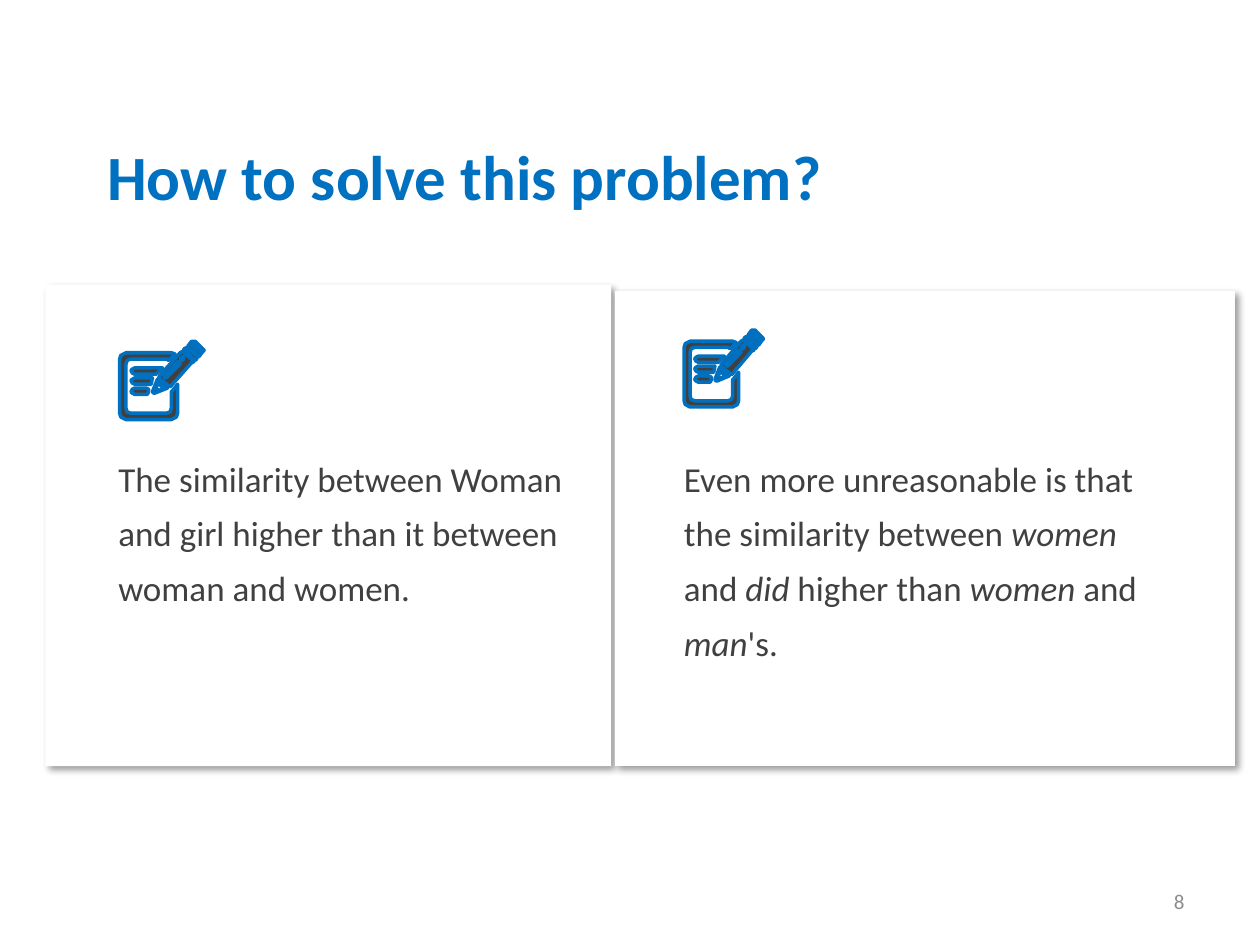
import lxml.etree
import pptx
import pptx.dml.color
import pptx.enum.shapes
import pptx.enum.text
import pptx.oxml.ns
import pptx.util

BLUE, INK, WHITE, GREY = "0070C0", "404040", "FFFFFF", "8C8C8C"
ALIGN = pptx.enum.text.PP_ALIGN
ANCHOR = pptx.enum.text.MSO_ANCHOR

NOTEPAD_SIZE = (67, 62)
NOTEPAD = [
    [(12, 37), (21, 37), (23, 38), (23, 40), (22, 42), (12, 42), (10, 41), (9, 40), (10, 38)],
    [(30, 33), (29, 37), (31, 39), (35, 37)],
    [(30, 30), (38, 37), (28, 41), (27, 41), (26, 40)],
    [(12, 29), (26, 29), (25, 34), (12, 34), (10, 33), (9, 31), (10, 30)],
    [(12, 21), (34, 21), (29, 26), (12, 26), (10, 25), (9, 23), (10, 22)],
    [(46, 16), (35, 28), (36, 29), (37, 29), (48, 18), (48, 17)],
    [(51, 12), (50, 12), (48, 14), (49, 15), (50, 15), (51, 13)],
    [(5, 9), (41, 9), (44, 10), (39, 15), (37, 14), (9, 14), (6, 15), (5, 18),
     (5, 53), (6, 56), (9, 57), (37, 57), (40, 56), (41, 53), (41, 40), (42, 39),
     (46, 34), (46, 57), (45, 60), (41, 62), (5, 62), (1, 60), (0, 57), (0, 14), (1, 11)],
    [(50, 8), (59, 16), (57, 17), (41, 35), (40, 36), (31, 29), (32, 27), (48, 9)],
    [(53, 5), (62, 12), (61, 14), (60, 15), (51, 7), (51, 6)],
    [(59, 2), (57, 3), (63, 8), (64, 7)],
    [(59, 0), (60, 0), (65, 5), (67, 7), (66, 8), (63, 12), (54, 4), (57, 0)],
]

CARDS = [
    {"panel": (3.6, 22.6, 44.9, 38.2), "icon": (9.5, 27.1, 6.7, 6.2),
     "body": (8.4, 34.8, 41.1, 14.1),
     "runs": ["The similarity between Woman and girl higher than it between woman and women."]},
    {"panel": (48.8, 23.1, 49.2, 37.7), "icon": (54.3, 26.2, 6.3, 6.1),
     "body": (53.3, 34.8, 40.6, 22.9),
     "runs": ["Even more unreasonable is that the similarity between ", "women", " and ",
              "did", " higher than ", "women", " and ", "man", "'s."]},
]


def color(value):
    return pptx.dml.color.RGBColor.from_string(value)


class Deck:
    """Style and current slide, measured on a grid of 100 columns by 75 rows."""

    font = "Calibri"

    def __init__(self):
        self.presentation = pptx.Presentation()
        self.presentation.slide_width = pptx.util.Inches(10)
        self.presentation.slide_height = pptx.util.Inches(7.5)
        self.cell = self.presentation.slide_width / 100
        self.slide = self.presentation.slides.add_slide(self.presentation.slide_layouts[5])

    def box(self, area):
        return [round(length * self.cell) for length in area]

    def set_text(self, shape, runs, size, ink, bold=False, align=ALIGN.LEFT,
                 anchor=ANCHOR.TOP, spacing=1.0):
        frame = shape.text_frame
        frame.word_wrap = True
        frame.auto_size = pptx.enum.text.MSO_AUTO_SIZE.NONE
        frame.vertical_anchor = anchor
        paragraph = frame.paragraphs[0]
        paragraph.alignment, paragraph.line_spacing = align, spacing
        font = paragraph.font
        font.name, font.size, font.bold = self.font, pptx.util.Pt(size), bold
        font.color.rgb = color(ink)
        for index, words in enumerate(runs):
            run = paragraph.add_run()
            run.text = words
            if index % 2:
                run.font.italic = True

    def title(self, words, area):
        heading = self.slide.shapes.title
        heading.left, heading.top, heading.width, heading.height = self.box(area)
        self.set_text(heading, [words], 36, BLUE, bold=True)

    def text(self, shapes, runs, area, size, ink, **style):
        self.set_text(shapes.add_textbox(*self.box(area)), runs, size, ink, **style)

    def panel(self, shapes, area):
        panel = shapes.add_shape(pptx.enum.shapes.MSO_SHAPE.RECTANGLE, *self.box(area))
        panel.fill.solid()
        panel.fill.fore_color.rgb = color(WHITE)
        panel.line.fill.background()
        panel.shadow.inherit = False
        qn = pptx.oxml.ns.qn
        effects = panel.element.spPr.find(qn("a:effectLst"))
        shadow = lxml.etree.SubElement(
            effects, qn("a:outerShdw"), blurRad=str(pptx.util.Pt(4)),
            dist=str(pptx.util.Pt(3)), dir=str(45 * 60000), algn="tl", rotWithShape="0")
        black = lxml.etree.SubElement(shadow, qn("a:srgbClr"), val="000000")
        lxml.etree.SubElement(black, qn("a:alpha"), val="40000")

    def icon(self, shapes, area):
        left, top, width, height = self.box(area)
        scale = (width / NOTEPAD_SIZE[0], height / NOTEPAD_SIZE[1])
        first, *others = NOTEPAD
        outline = shapes.build_freeform(*first[0], scale=scale)
        outline.add_line_segments(first[1:])
        for contour in others:
            outline.move_to(*contour[0])
            outline.add_line_segments(contour[1:])
        notepad = outline.convert_to_shape(left, top)
        notepad.shadow.inherit = False
        notepad.fill.solid()
        notepad.fill.fore_color.rgb = color(INK)
        notepad.line.color.rgb = color(BLUE)
        notepad.line.width = pptx.util.Pt(2)

    def card(self, panel, icon, body, runs):
        shapes = self.slide.shapes.add_group_shape().shapes
        self.panel(shapes, panel)
        self.icon(shapes, icon)
        self.text(shapes, runs, body, 20, INK, spacing=1.3)


def main():
    deck = Deck()
    deck.title("How to solve this problem?", (7.5, 10.4, 70.8, 7.1))
    deck.text(deck.slide.shapes, ["8"], (71.7, 69.5, 23.3, 4), 12, GREY,
              align=ALIGN.RIGHT, anchor=ANCHOR.MIDDLE)
    for card in CARDS:
        deck.card(**card)
    deck.presentation.save("out.pptx")


if __name__ == "__main__":
    main()
